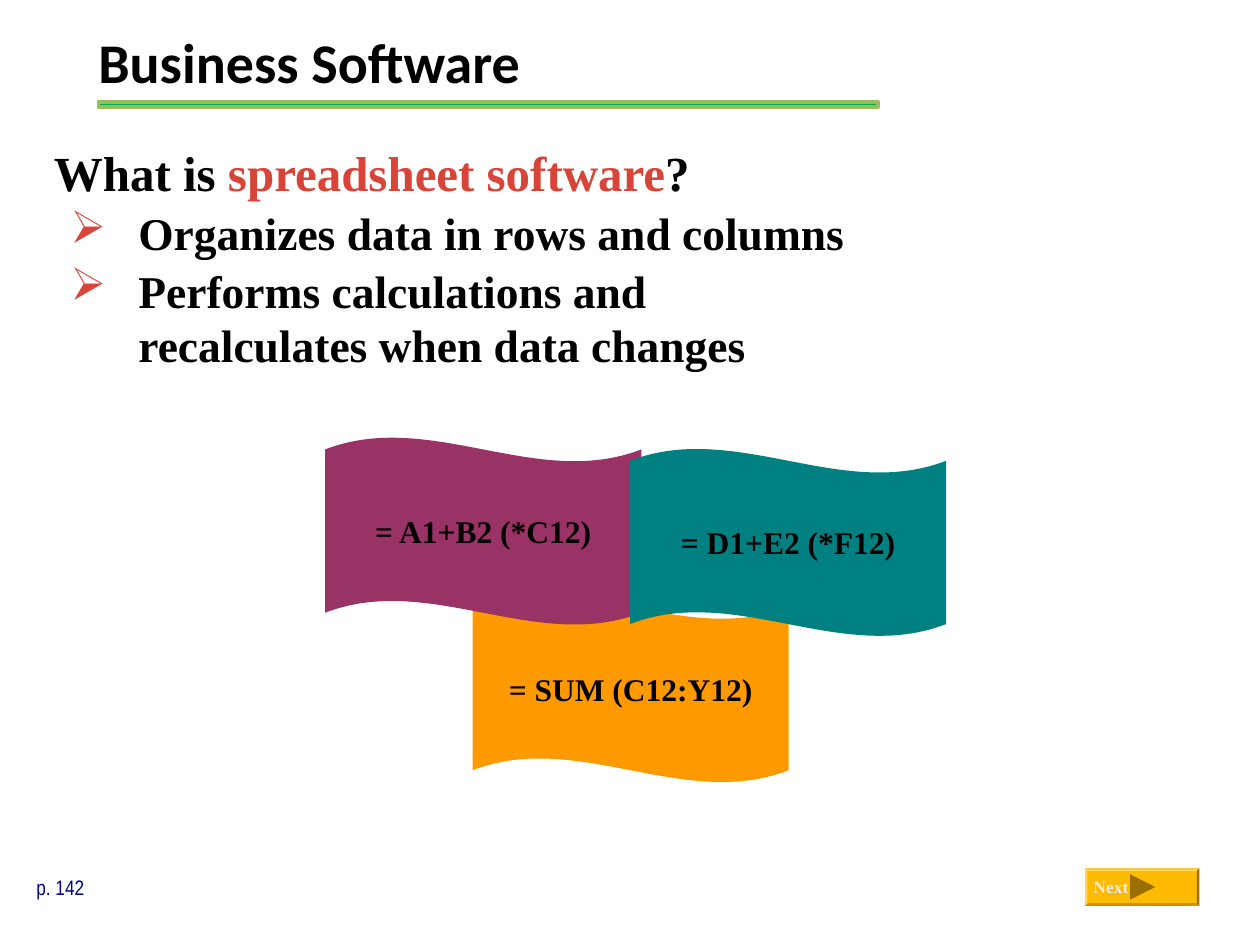
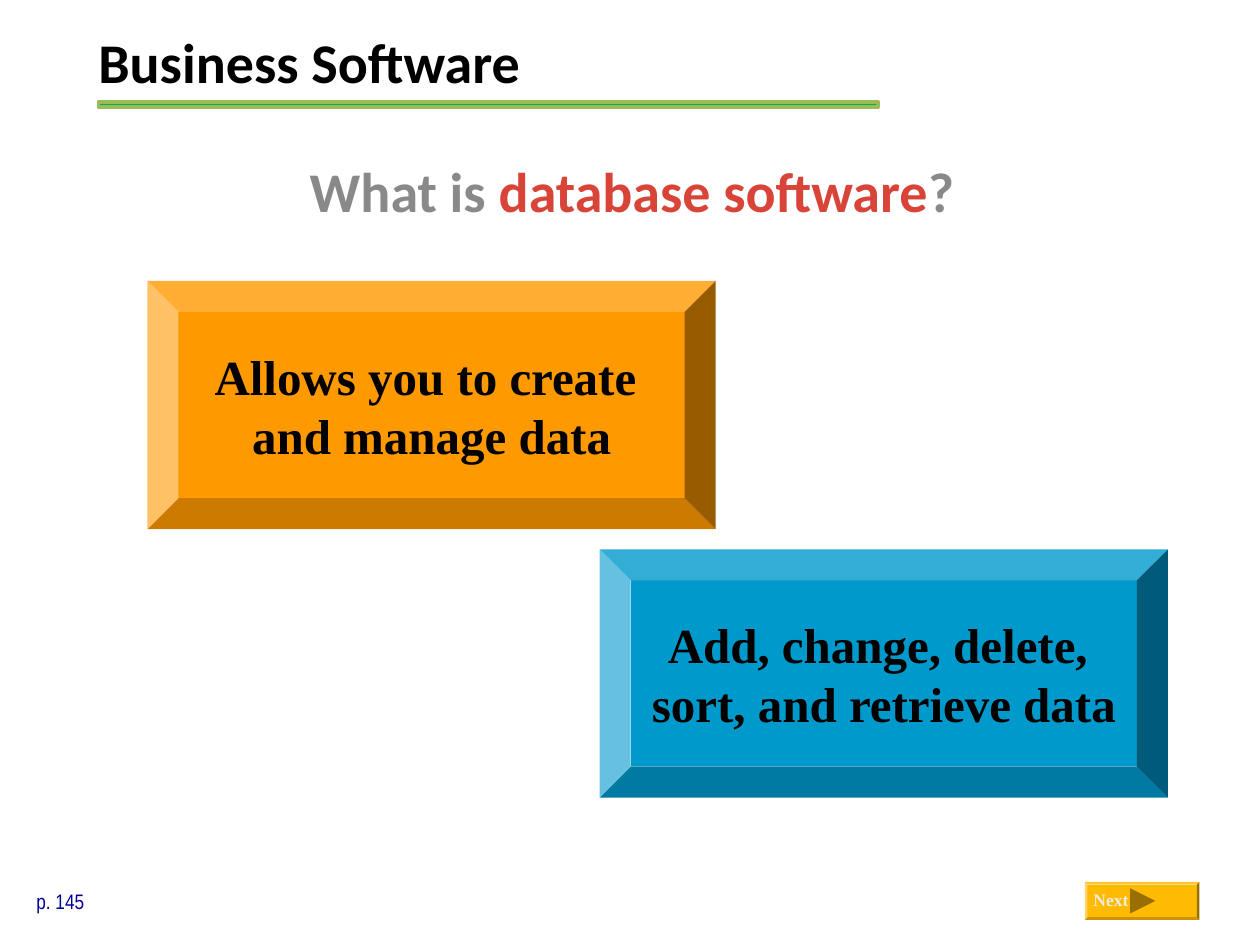
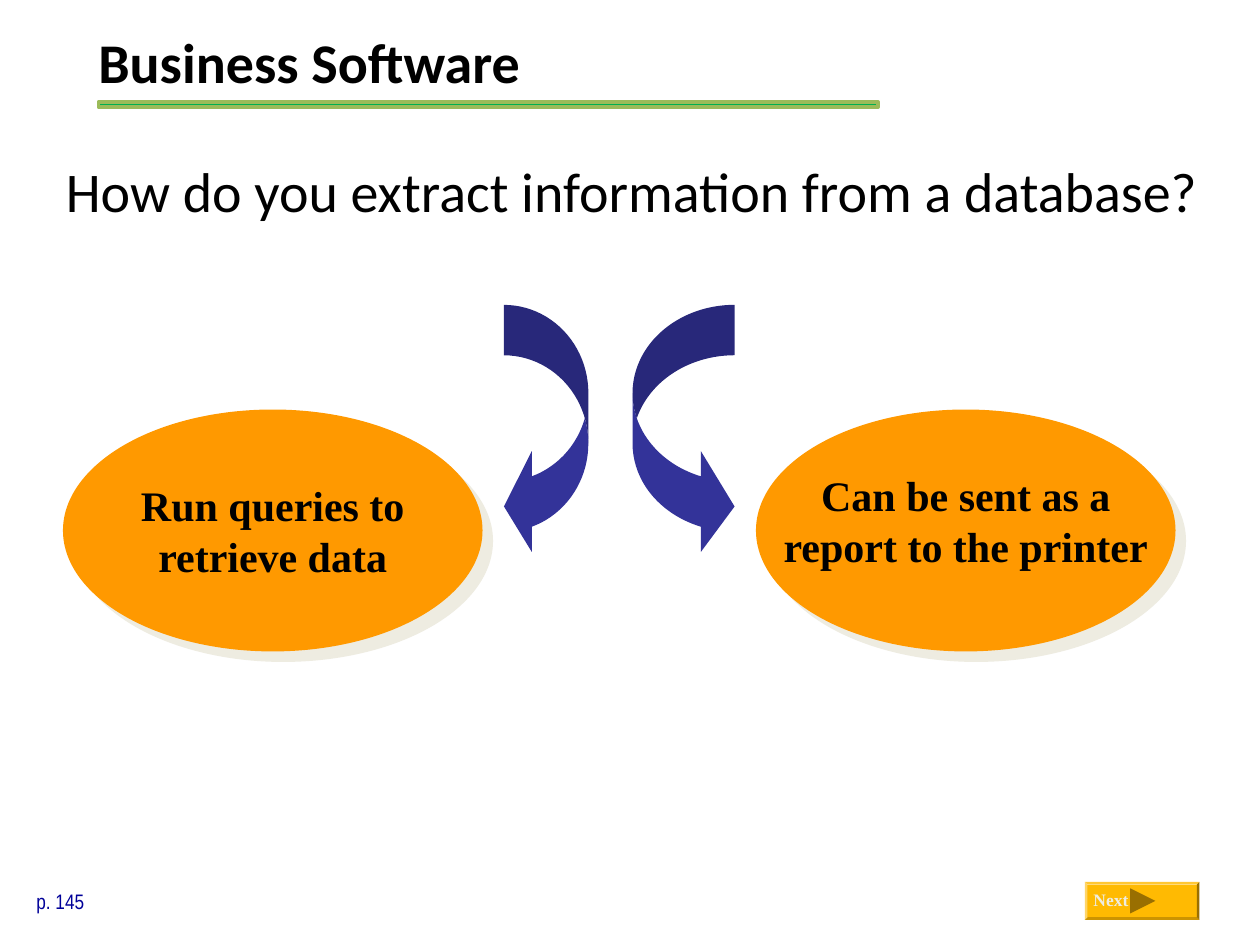
import pptx
import pptx.util
import pptx.dml.color
import pptx.enum.shapes
import pptx.enum.text
import pptx.oxml
import pptx.oxml.ns

Inches, Pt = pptx.util.Inches, pptx.util.Pt
SHAPE = pptx.enum.shapes.MSO_SHAPE
ALIGN = pptx.enum.text.PP_ALIGN
ANCHOR = pptx.enum.text.MSO_ANCHOR

COLORS = {
    "ink": "000000", "gray": "898989", "red": "D94439", "navy": "000099",
    "rule": "00B050", "rule_edge": "9BBB59", "orange": "FF9900",
    "plum": "993366", "teal": "008080", "blue": "0099CC", "indigo": "333399",
    "gold": "FFBA02", "brown": "996F01", "cream": "EEECE1",
}
SERIF, SANS, NARROW = "Times New Roman", "Calibri", "Arial Narrow"

TITLE = "Business Software"
BULLETS = [
    "Organizes data in rows and columns",
    "Performs calculations and\nrecalculates when data changes",
]
FORMULAS = [
    ("= SUM (C12:Y12)", "orange", 3.75, 4.72),
    ("= A1+B2 (*C12)", "plum", 2.58, 3.47),
    ("= D1+E2 (*F12)", "teal", 5, 3.56),
]
DATABASE_USES = [
    ("Allows you to create \nand manage data", "orange", 1.17, 2.23),
    ("Add, change, delete, \nsort, and retrieve data", "blue", 4.76, 4.36),
]
EXTRACTIONS = [
    ("Can be sent as a report to the printer", 6, 3.68),
    ("Run queries to retrieve data", 0.5, 3.76),
]
ARROWS = [
    (SHAPE.CURVED_LEFT_ARROW, 4, 0.67),
    (SHAPE.CURVED_RIGHT_ARROW, 5.02, 0.81),
]
ARROW_BAND, ARROW_HEAD = 0.4, 0.8


def rgb(name):
    return pptx.dml.color.RGBColor.from_string(COLORS[name])


def place(sp, left, top, width, height):
    sp.left, sp.top, sp.width, sp.height = map(Inches, (left, top, width, height))


def add_xml(parent, xml):
    parent.append(pptx.oxml.parse_xml(xml.replace(">", f" {pptx.oxml.ns.nsdecls('a')}>", 1)))


def style(p, size, font=SERIF, color="ink", bold=True, align=ALIGN.LEFT):
    p.alignment = align
    p.font.size, p.font.name, p.font.bold = Pt(size), font, bold
    p.font.color.rgb = rgb(color)


def add_text(slide, box, runs, size, wrap=True, **look):
    tf = slide.shapes.add_textbox(*map(Inches, box)).text_frame
    tf.word_wrap = wrap
    p = tf.paragraphs[0]
    for text, color in runs:
        r = p.add_run()
        r.text = text
        r.font.color.rgb = rgb(color)
    style(p, size, **look)
    return tf


def add_shape(slide, kind, box, color, adjustments=()):
    sp = slide.shapes.add_shape(kind, *map(Inches, box))
    sp.shadow.inherit = False
    sp.fill.solid()
    sp.fill.fore_color.rgb = rgb(color)
    sp.line.fill.background()
    for i, value in enumerate(adjustments):
        sp.adjustments[i] = value
    return sp


def add_label(sp, text, size):
    tf = sp.text_frame
    tf.word_wrap = False
    tf.vertical_anchor = ANCHOR.MIDDLE
    p = tf.paragraphs[0]
    p.text = text
    style(p, size, align=ALIGN.CENTER)


def add_slide(prs, page, foot):
    slide = prs.slides.add_slide(prs.slide_layouts[5])
    title = slide.shapes.title
    place(title, 0.68, 0.17, 3.56, 0.64)
    tf = title.text_frame
    tf.text = TITLE
    tf.word_wrap = False
    tf.auto_size = pptx.enum.text.MSO_AUTO_SIZE.NONE
    tf.vertical_anchor = ANCHOR.TOP
    style(tf.paragraphs[0], 32, font=SANS)

    rule = add_shape(slide, SHAPE.RECTANGLE, (0.78, 0.81, 6.19, 0.04), "rule")
    rule.line.color.rgb = rgb("rule_edge")
    rule.line.width = Pt(2)

    add_text(slide, (0.19, foot, 1.31, 0.3), [(page, "navy")], 12,
             font=NARROW, color="navy", bold=False)
    add_shape(slide, SHAPE.BEVEL, (8.61, foot, 0.91, 0.3), "gold", [0.07])
    play = add_shape(slide, SHAPE.ISOSCELES_TRIANGLE, (8.97, foot + 0.05, 0.2, 0.2), "brown")
    play.rotation = 90
    add_text(slide, (8.58, foot + 0.01, 0.51, 0.27), [("Next", "cream")], 10, color="cream")
    return slide


def add_bullets(slide, box, items):
    tf = slide.shapes.add_textbox(*map(Inches, box)).text_frame
    tf.word_wrap = True
    for i, text in enumerate(items):
        p = tf.add_paragraph() if i else tf.paragraphs[0]
        p.text = text
        pPr = p._p.get_or_add_pPr()
        pPr.set("marL", str(Inches(0.67)))
        pPr.set("indent", str(-Inches(0.54)))
        if i:
            p.space_before = Pt(1.6)
        add_xml(pPr, f'<a:buClr><a:srgbClr val="{COLORS["red"]}"/></a:buClr>')
        add_xml(pPr, '<a:buChar char="➢"></a:buChar>')
        style(p, 26)


def add_spreadsheet_slide(prs):
    slide = add_slide(prs, "p. 142", 6.89)
    add_text(slide, (0.33, 1.08, 9.39, 0.72),
             [("What is ", "ink"), ("spreadsheet software", "red"), ("?", "ink")], 28)
    add_bullets(slide, (0.33, 1.58, 9.39, 1.56), BULLETS)
    for text, color, left, top in FORMULAS:
        wave = add_shape(slide, SHAPE.WAVE, (left, top, 2.51, 1.49), color, [0.065, 0])
        add_label(wave, text, 18)


def add_database_slide(prs):
    slide = add_slide(prs, "p. 145", 7)
    add_text(slide, (0.32, 1.19, 9.39, 0.72),
             [("What is ", "gray"), ("database software", "red"), ("?", "gray")], 32,
             font=SANS, align=ALIGN.CENTER)
    for text, color, left, top in DATABASE_USES:
        add_label(add_shape(slide, SHAPE.BEVEL, (left, top, 4.51, 1.97), color, [0.125]), text, 28)


def add_extraction_slide(prs):
    slide = add_slide(prs, "p. 145", 7)
    add_text(slide, (0.32, 1.19, 9.39, 0.72),
             [("How do you extract information from a database?", "ink")], 32,
             font=SANS, bold=False, align=ALIGN.CENTER)
    for kind, left, width in ARROWS:
        add_shape(slide, kind, (left, 2.42, width, 2), "indigo",
                  [ARROW_BAND / width, ARROW_HEAD / width, 0.33])
    for text, left, text_top in EXTRACTIONS:
        oval = add_shape(slide, SHAPE.OVAL, (left, 3.25, 3.33, 1.92), "orange")
        effects = oval._element.spPr.find(pptx.oxml.ns.qn("a:effectLst"))
        add_xml(effects, f'<a:outerShdw dist="{Pt(8.5)}" dir="{45 * 60000}" algn="ctr" rotWithShape="0">'
                         f'<a:srgbClr val="{COLORS["cream"]}"/></a:outerShdw>')
        add_text(slide, (left, text_top, 3.33, 0.9), [(text, "ink")], 24, align=ALIGN.CENTER)


def main():
    prs = pptx.Presentation()
    prs.slide_width, prs.slide_height = Inches(10), Inches(7.5)
    add_spreadsheet_slide(prs)
    add_database_slide(prs)
    add_extraction_slide(prs)
    prs.save("out.pptx")


if __name__ == "__main__":
    main()
